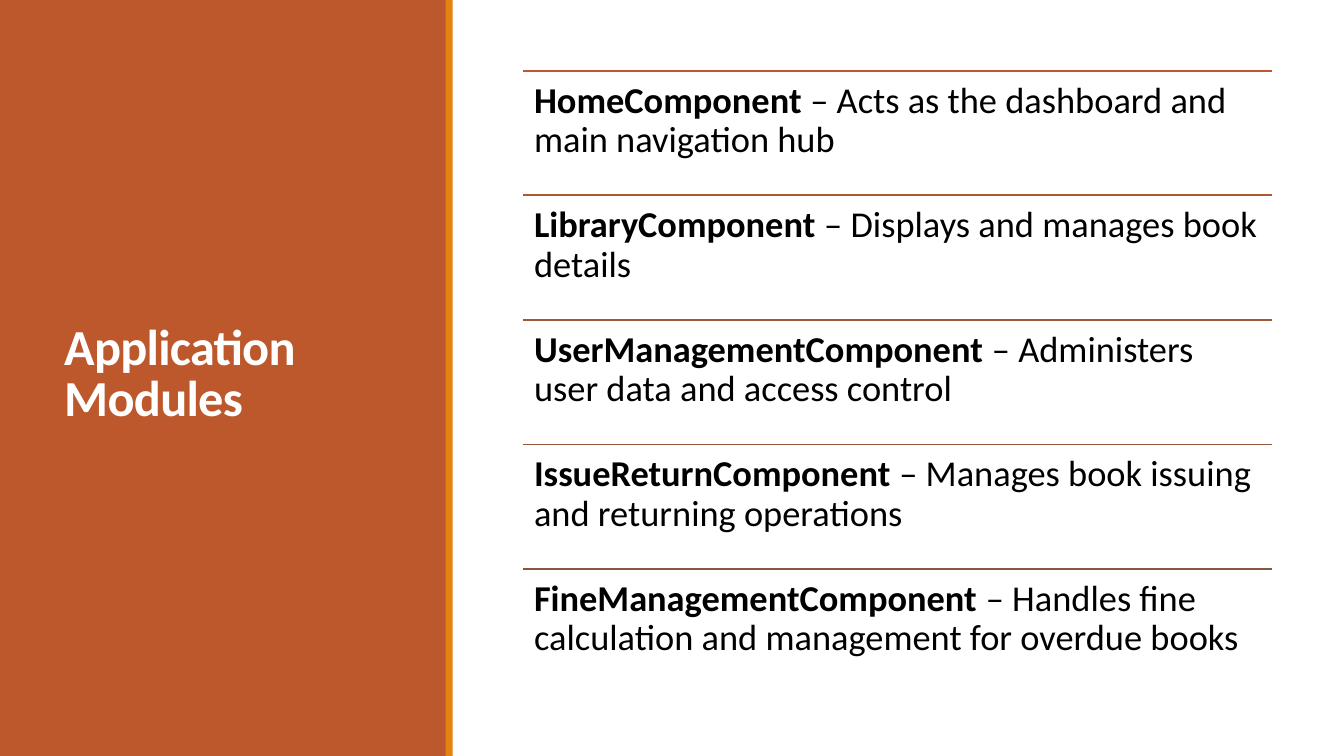
"""Build the Application Modules slide."""
from pptx import Presentation
from pptx.dml.color import RGBColor
from pptx.enum import shapes, text
from pptx.oxml import parse_xml
from pptx.util import Cm, Pt

RUST = RGBColor(0xBD, 0x58, 0x2C)
AMBER = RGBColor(0xE4, 0x83, 0x12)
WHITE = RGBColor(0xFF, 0xFF, 0xFF)
BLACK = RGBColor(0, 0, 0)
RULES = [
    RUST,
    RGBColor(0xAE, 0x58, 0x32),
    RGBColor(0xA0, 0x58, 0x37),
    RGBColor(0x93, 0x57, 0x3C),
    RGBColor(0x86, 0x56, 0x40),
]
ITEMS = [
    ("HomeComponent", " – Acts as the dashboard and main navigation hub"),
    ("LibraryComponent", " – Displays and manages book details"),
    ("UserManagementComponent", " – Administers user data and access control"),
    ("IssueReturnComponent", " – Manages book issuing and returning operations"),
    ("FineManagementComponent",
     " – Handles fine calculation and management for overdue books"),
]
HIGH = Cm(19.05)
LEFT, TOP, WIDE, STEP = 13.18, 1.78, 18.87, 3.14
NO_FX = ('<a:effectLst xmlns:a='
         '"http://schemas.openxmlformats.org/drawingml/2006/main"/>')


def panel(slide, left, wide, fill):
    """Add a full-height colour band."""
    band = slide.shapes.add_shape(
        shapes.MSO_SHAPE.RECTANGLE, Cm(left), 0, Cm(wide), HIGH)
    band.shadow.inherit = False
    band.fill.solid()
    band.fill.fore_color.rgb = fill
    band.line.fill.background()


def rule(slide, top, color):
    """Add a thin line above a module."""
    line = slide.shapes.add_connector(
        shapes.MSO_CONNECTOR.STRAIGHT,
        Cm(LEFT), Cm(top), Cm(LEFT + WIDE), Cm(top))
    line.line.color.rgb = color
    line.line.width = Pt(1.25)
    line._element.spPr.append(parse_xml(NO_FX))


def label(slide, box, size, color, space, inset, anchor):
    """Add a wrapped text box and return its paragraph."""
    frame = slide.shapes.add_textbox(*map(Cm, box)).text_frame
    frame.word_wrap = True
    frame.vertical_anchor = anchor
    frame.margin_left = frame.margin_right = Cm(inset)
    frame.margin_top = frame.margin_bottom = Cm(inset)
    para = frame.paragraphs[0]
    para.line_spacing = space
    para.font.name = "Calibri"
    para.font.size = Pt(size)
    para.font.color.rgb = color
    return para


def title(slide, words):
    """Add the heading on the left panel."""
    para = label(slide, (1.37, 1.45, 8.56, 16.03), 36, WHITE, 0.85, 0.25,
                 text.MSO_ANCHOR.MIDDLE)
    para.font.bold = True
    run = para.add_run()
    run.text = words
    run.font._element.set("spc", "-50")


def module(slide, top, name, note):
    """Add a module's bold name and its note."""
    para = label(slide, (LEFT, top, WIDE, STEP), 26, BLACK, 0.9, 0.28,
                 text.MSO_ANCHOR.TOP)
    for words, bold in ((name, True), (note, False)):
        run = para.add_run()
        run.text = words
        run.font.bold = bold


def main():
    """Compose and save the slide."""
    deck = Presentation()
    deck.slide_width, deck.slide_height = Cm(33.87), HIGH
    slide = deck.slides.add_slide(deck.slide_layouts[6])
    panel(slide, 0, 11.25, RUST)
    title(slide, "Application Modules")
    panel(slide, 11.23, 0.18, AMBER)
    for row, (name, note) in enumerate(ITEMS):
        top = TOP + row * STEP
        rule(slide, top, RULES[row])
        module(slide, top, name, note)
    deck.save("out.pptx")


if __name__ == "__main__":
    main()
